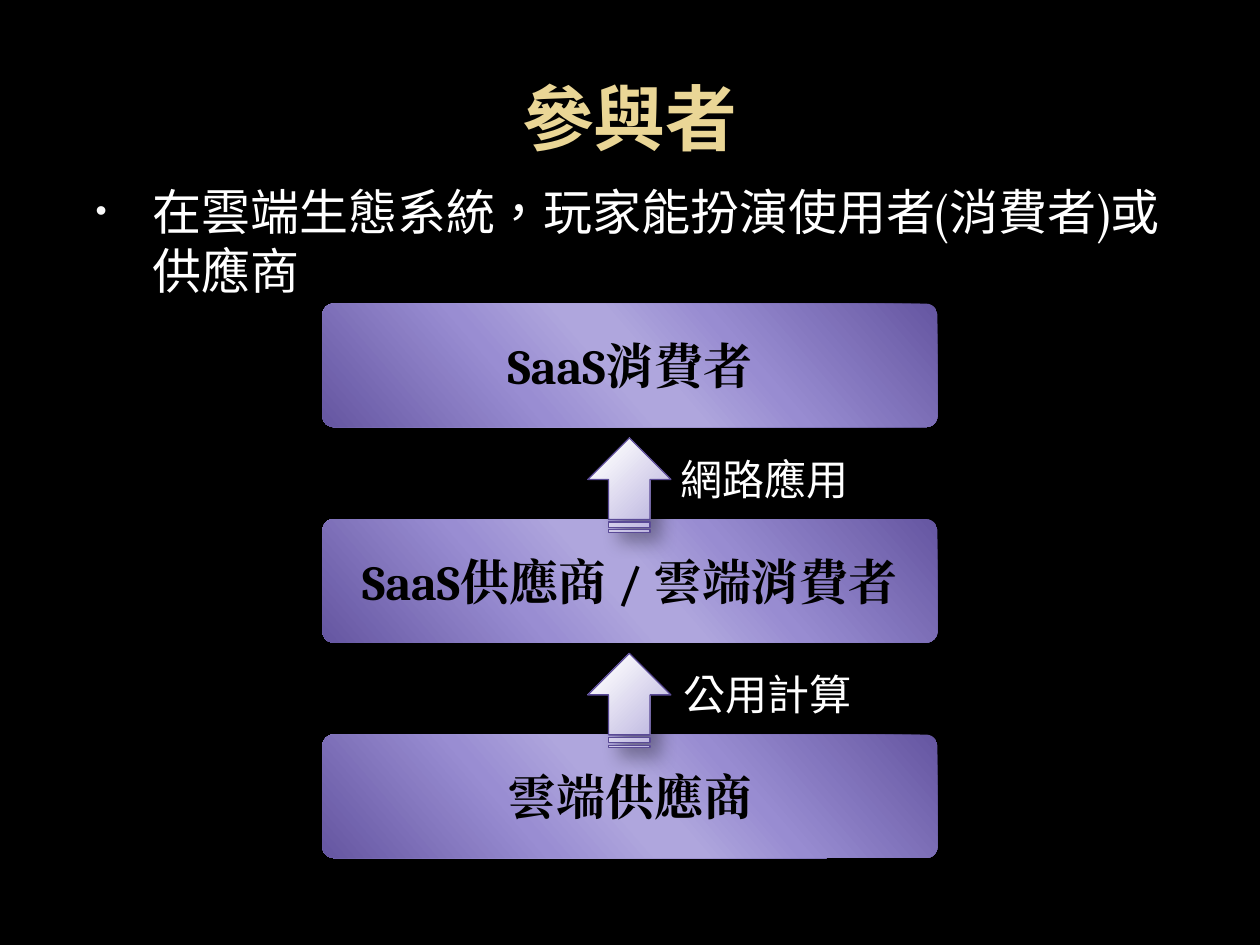
"""Builds the slide on cloud participants and their roles."""
from dataclasses import dataclass

from pptx import Presentation
from pptx import util as u
from pptx.dml.color import RGBColor
from pptx.enum import shapes, text
from pptx.oxml import parse_xml
from pptx.oxml.ns import nsdecls, qn


@dataclass(frozen=True)
class Theme:
    background: str = "000000"
    light: str = "FFFFFF"
    dark: str = "000000"
    bullet: str = "F9F9F9"
    outline: str = "5A4A96"
    gold: tuple = ((0, "EAD696"), (73, "EAD696"), (100, "E7D081"))
    violet: tuple = ((0, "6556A1"), (33, "988CD1"), (47, "AFA6DD"),
                     (53, "AFA6DD"), (68, "998DD2"), (100, "6556A1"))
    pale: tuple = ((20, "F7F6FB"), (100, "B2AADB"))
    title_font: str = "Noto Sans"
    body_font: str = "Vollkorn"
    tier_font: str = "Cambria"
    title_size: int = 41
    body_size: int = 28
    label_size: int = 24


CORNER = ('<a:path path="circle"><a:fillToRect l="-15000" t="-15000" '
          'r="115000" b="115000"/></a:path>')


def linear(degrees):
    return f'<a:lin ang="{degrees * 60000}" scaled="0"/>'


def element(markup):
    return parse_xml(f'<a:root {nsdecls("a")}>{markup}</a:root>')[0]


def inches(*lengths):
    return [u.Inches(length) for length in lengths]


def apply(target, values):
    for name, value in values.items():
        setattr(target, name, value)


def paint_gradient(fill, properties, stops, direction):
    fill.gradient()
    colours = "".join(f'<a:gs pos="{position * 1000}"><a:srgbClr val="{colour}"/></a:gs>'
                      for position, colour in stops)
    gradient = element(f"<a:gradFill><a:gsLst>{colours}</a:gsLst>{direction}</a:gradFill>")
    properties.replace(properties.find(qn("a:gradFill")), gradient)


class SlideBuilder:
    def __init__(self, theme, page):
        self.theme = theme
        self.page = page
        fill = page.background.fill
        fill.solid()
        fill.fore_color.rgb = RGBColor.from_string(theme.background)

    def add_words(self, box, words, font, size, colour, bold=False, **frame_format):
        frame = box.text_frame
        apply(frame, {"word_wrap": True, **frame_format})
        para = frame.paragraphs[0]
        span = para.add_run()
        span.text = words
        apply(span.font, {"name": font, "size": u.Pt(size), "bold": bold})
        span.font.color.rgb = RGBColor.from_string(colour)
        properties = span._r.get_or_add_rPr()
        properties.set("lang", "zh-TW")
        properties.find(qn("a:latin")).addnext(element(f'<a:ea typeface="{font}"/>'))
        return para, span

    def place(self, box, *bounds):
        apply(box, dict(zip(("left", "top", "width", "height"), inches(*bounds))))

    def title(self, words, *bounds):
        style, box = self.theme, self.page.shapes.title
        self.place(box, *bounds)
        para, span = self.add_words(box, words, style.title_font, style.title_size,
                                    style.gold[0][1], bold=True,
                                    vertical_anchor=text.MSO_ANCHOR.MIDDLE)
        para.alignment = text.PP_ALIGN.CENTER
        paint_gradient(span.font.fill, span._r.get_or_add_rPr(), style.gold, linear(80))

    def body(self, words, *bounds):
        style, box = self.theme, self.page.placeholders[1]
        self.place(box, *bounds)
        para, _ = self.add_words(box, words, style.body_font, style.body_size, style.light,
                                 vertical_anchor=text.MSO_ANCHOR.TOP)
        properties = para._p.get_or_add_pPr()
        properties.set("marL", str(u.Inches(0.6)))
        properties.set("indent", str(u.Inches(-0.45)))
        for markup in ('<a:spcBef><a:spcPct val="20000"/></a:spcBef>',
                       f'<a:buClr><a:srgbClr val="{style.bullet}"/></a:buClr>',
                       '<a:buSzPct val="65000"/>',
                       '<a:buChar char="•"/>'):
            properties.append(element(markup))

    def gradient_shape(self, kind, bounds, stops, direction, shadow):
        box = self.page.shapes.add_shape(kind, *inches(*bounds))
        properties = box._element.spPr
        paint_gradient(box.fill, properties, stops, direction)
        box.shadow.inherit = False
        opacity, blur, distance = shadow
        properties.find(qn("a:effectLst")).append(element(
            f'<a:outerShdw blurRad="{u.Pt(blur)}" dist="{u.Pt(distance)}" dir="2700000">'
            f'<a:srgbClr val="{self.theme.dark}"><a:alpha val="{opacity * 1000}"/>'
            '</a:srgbClr></a:outerShdw>'))
        return box

    def tier(self, words, *bounds):
        style = self.theme
        box = self.gradient_shape(shapes.MSO_SHAPE.ROUNDED_RECTANGLE, bounds, style.violet,
                                  linear(139), (26, 15, 18))
        box.adjustments[0] = 0.09
        box.line.fill.background()
        para, _ = self.add_words(box, words, style.tier_font, style.body_size, style.dark,
                                 bold=True, vertical_anchor=text.MSO_ANCHOR.MIDDLE)
        para.alignment = text.PP_ALIGN.CENTER

    def arrow(self, *bounds):
        box = self.gradient_shape(shapes.MSO_SHAPE.STRIPED_RIGHT_ARROW, bounds,
                                  self.theme.pale, CORNER, (35, 10.2, 8))
        box.rotation = 270
        box.line.color.rgb = RGBColor.from_string(self.theme.outline)
        box.line.width = u.Pt(0.75)

    def label(self, words, *bounds):
        style = self.theme
        box = self.page.shapes.add_textbox(*inches(*bounds))
        self.add_words(box, words, style.body_font, style.label_size, style.light,
                       word_wrap=False, auto_size=text.MSO_AUTO_SIZE.SHAPE_TO_FIT_TEXT)


def main():
    deck = Presentation()
    deck.slide_width, deck.slide_height = inches(10, 7.5)
    slide = SlideBuilder(Theme(), deck.slides.add_slide(deck.slide_layouts[1]))
    slide.title("參與者", 0.5, 0.3, 9, 1.25)
    slide.body("在雲端生態系統，玩家能扮演使用者(消費者)或供應商", 0.51, 1.39, 9, 4.95)

    step = 1.71
    for row, words in enumerate(("SaaS消費者", "SaaS供應商 / 雲端消費者", "雲端供應商")):
        slide.tier(words, 2.56, 2.41 + row * step, 4.88, 0.98)
    for row, (words, left) in enumerate((("網路應用", 5.3), ("公用計算", 5.33))):
        slide.arrow(4.62, 3.52 + row * step, 0.75, 0.66)
        slide.label(words, left, 3.55 + row * step, 1.55, 0.45)
    deck.save("out.pptx")


if __name__ == "__main__":
    main()
